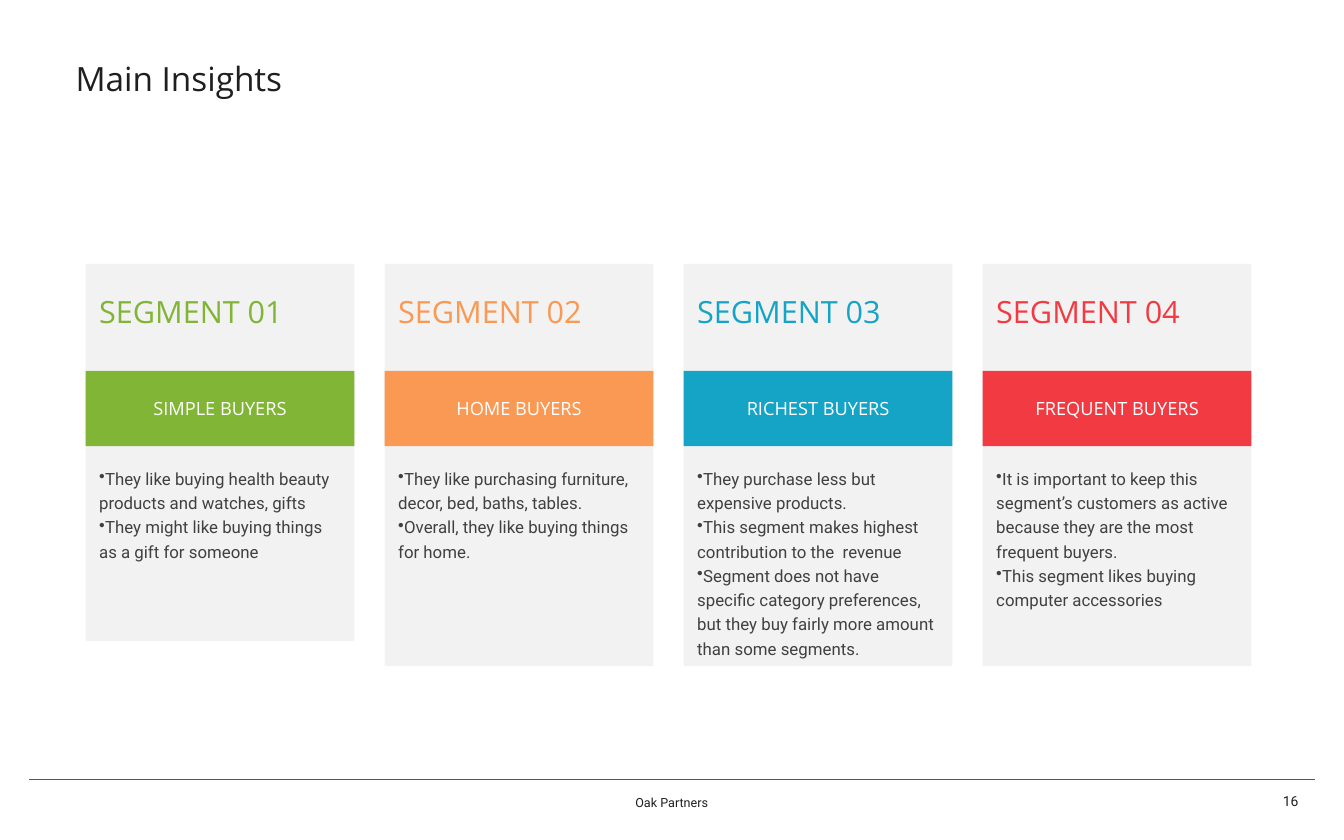
from lxml import etree
from pptx import Presentation, util as u
from pptx.dml.color import RGBColor
from pptx.enum import shapes, text
from pptx.oxml.ns import qn

WIDTH, HEIGHT = u.Inches(26.85), u.Inches(16.78)
INK, BODY = RGBColor(0x1F, 0x1F, 0x1F), RGBColor(0x40, 0x40, 0x40)
RULE, PANEL = RGBColor(0x57, 0x57, 0x57), RGBColor(0xF2, 0xF2, 0xF2)
WHITE, GREEN = RGBColor(0xFF, 0xFF, 0xFF), RGBColor(0x81, 0xB5, 0x35)
ORANGE, BLUE = RGBColor(0xF9, 0x99, 0x53), RGBColor(0x15, 0xA4, 0xC6)
RED = RGBColor(0xF2, 0x3A, 0x43)
HEADING_FONT, BODY_FONT = "Open Sans", "Roboto"
CARD_INSETS = (0.27, 0.13)
CARD_LEFT, CARD_TOP, CARD_WIDTH, CARD_PITCH = 6.37, 31.41, 20, 22.25

SEGMENTS = [
    ("SIMPLE BUYERS", GREEN, 44.93, [
        "They like buying health beauty products and watches, gifts",
        "They might like buying things as a gift for someone"]),
    ("HOME BUYERS", ORANGE, 47.91, [
        "They like purchasing furniture, decor, bed, baths, tables.",
        "Overall, they like buying things for home."]),
    ("RICHEST BUYERS", BLUE, 47.91, [
        "They purchase less but expensive products.",
        "This segment makes highest contribution to the  revenue",
        "Segment does not have specific category preferences, "
        "but they buy fairly more amount than some segments."]),
    ("FREQUENT BUYERS", RED, 47.91, [
        "It is important to keep this segment’s customers as active "
        "because they are the most frequent buyers.",
        "This segment likes buying computer accessories"]),
]


def place(left, top, width, height):
    """Turn percentages of the slide into lengths."""
    return (round(WIDTH * left / 100), round(HEIGHT * top / 100),
            round(WIDTH * width / 100), round(HEIGHT * height / 100))


def write(shape, *lines, size, color, font=HEADING_FONT, align=text.PP_ALIGN.LEFT,
          anchor=text.MSO_ANCHOR.TOP, spacing=1.0, insets=(0.1, 0.05), bullet=None):
    """Fill a shape with one paragraph per line in a single format."""
    frame = shape.text_frame
    frame.word_wrap = True
    frame.auto_size = text.MSO_AUTO_SIZE.NONE
    frame.vertical_anchor = anchor
    frame.margin_left = frame.margin_right = u.Inches(insets[0])
    frame.margin_top = frame.margin_bottom = u.Inches(insets[1])
    for index, line in enumerate(lines):
        paragraph = frame.add_paragraph() if index else frame.paragraphs[0]
        paragraph.alignment = align
        paragraph.line_spacing = spacing
        run = paragraph.add_run()
        run.text = line
        run.font.name, run.font.size = font, u.Pt(size)
        run.font.color.rgb = color
        if bullet:
            properties = paragraph._p.get_or_add_pPr()
            properties.set("marL", "0")
            properties.set("indent", str(-u.Inches(0.31)))
            etree.SubElement(properties, qn("a:buChar")).set("char", bullet)


def add_block(slide, box, color):
    """Add a plain filled rectangle."""
    block = slide.shapes.add_shape(shapes.MSO_SHAPE.RECTANGLE, *place(*box))
    block.shadow.inherit = False
    block.fill.solid()
    block.fill.fore_color.rgb = color
    block.line.fill.background()
    return block


def add_title(slide, box, title):
    """Move and format the title placeholder."""
    placeholder = slide.shapes.title
    placeholder.left, placeholder.top, placeholder.width, placeholder.height = place(*box)
    write(placeholder, title, size=48, color=INK, spacing=0.9,
          anchor=text.MSO_ANCHOR.BOTTOM)


def add_card(slide, box, heading, segment, color, insights):
    """Draw one segment card with its heading, band and insights."""
    left, top, width, _ = box
    add_block(slide, box, PANEL)
    band = add_block(slide, (left, top + 12.75, width, 8.94), color)
    write(band, segment, size=26.2, color=WHITE, align=text.PP_ALIGN.CENTER,
          anchor=text.MSO_ANCHOR.MIDDLE, insets=CARD_INSETS)
    heading_box = slide.shapes.add_textbox(*place(left, top + 2.74, width, 6.02))
    write(heading_box, heading, size=44, color=color, insets=CARD_INSETS)
    insight_box = slide.shapes.add_textbox(*place(left, top + 23.12, width, 16.03))
    write(insight_box, *insights, size=24.2, color=BODY, font=BODY_FONT,
          spacing=1.2, insets=CARD_INSETS, bullet="•")


def add_footer(slide, box, owner, number):
    """Draw the rule, the owner's name and the page number."""
    left, top, width, height = box
    x, y, length, _ = place(left, top, width, height)
    rule = slide.shapes.add_connector(shapes.MSO_CONNECTOR.STRAIGHT, x, y, x + length, y)
    rule.line.color.rgb, rule.line.width = RULE, u.Pt(0.5)
    etree.SubElement(rule._element.spPr, qn("a:effectLst"))
    owner_box = slide.shapes.add_textbox(*place(left + 30.95, top - 0.12, 33.74, height))
    write(owner_box, owner, size=18.1, color=INK, font=BODY_FONT, spacing=1.25,
          align=text.PP_ALIGN.CENTER, anchor=text.MSO_ANCHOR.MIDDLE)
    number_box = slide.shapes.add_textbox(*place(left + 72.33, top - 0.12, 22.49, height))
    write(number_box, number, size=20, color=INK, font=BODY_FONT,
          align=text.PP_ALIGN.RIGHT, anchor=text.MSO_ANCHOR.MIDDLE)


def main():
    """Build the slide and save it."""
    presentation = Presentation()
    presentation.slide_width, presentation.slide_height = WIDTH, HEIGHT
    layout = presentation.slide_layouts.get_by_name("Title Only")
    slide = presentation.slides.add_slide(layout)
    add_title(slide, (5.25, 4.71, 66.89, 7.39), "Main Insights")
    for index, (segment, color, height, insights) in enumerate(SEGMENTS):
        box = (CARD_LEFT + index * CARD_PITCH, CARD_TOP, CARD_WIDTH, height)
        add_card(slide, box, f"SEGMENT {index + 1:02}", segment, color, insights)
    add_footer(slide, (2.16, 92.79, 95.68, 5.32), "Oak Partners", "16")
    presentation.save("out.pptx")


if __name__ == "__main__":
    main()
